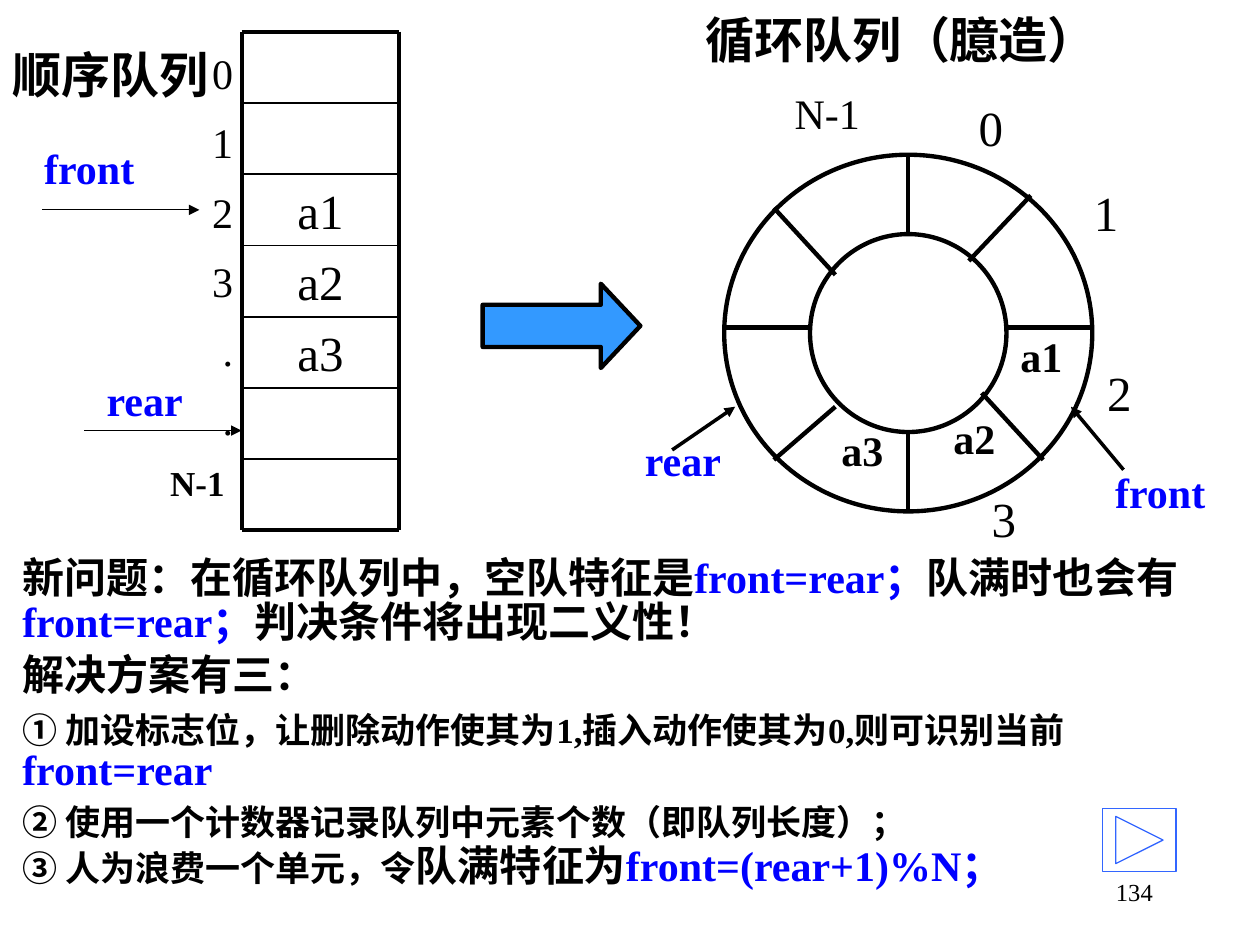
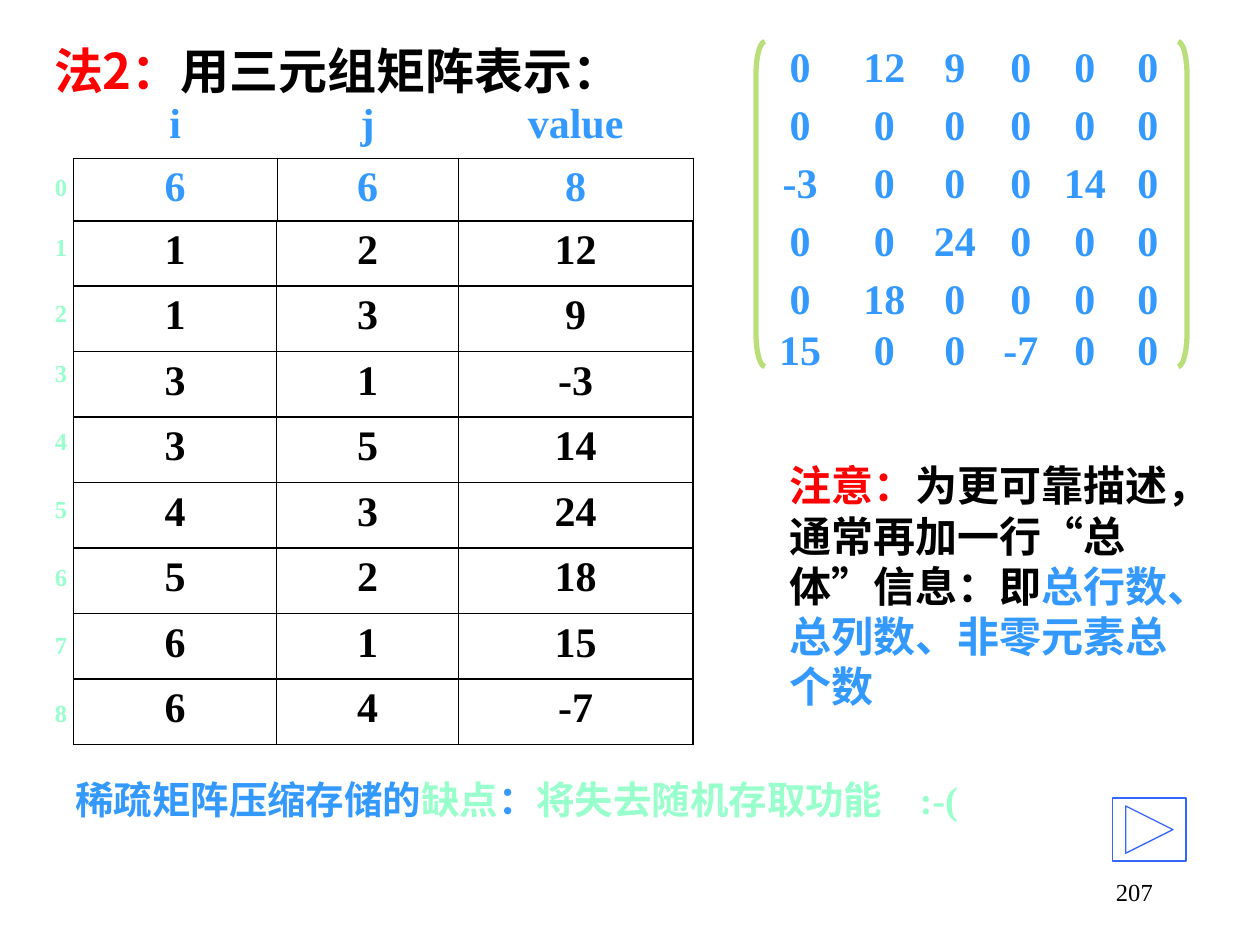
"""Builds two slides: the circular queue and the triple table of a sparse matrix."""
from lxml import etree
from pptx import Presentation
from pptx.dml.color import RGBColor
from pptx.enum.shapes import MSO_CONNECTOR, MSO_SHAPE
from pptx.enum.text import MSO_ANCHOR, PP_ALIGN
from pptx.oxml.ns import qn
from pptx.util import Cm, Pt

BLACK = RGBColor(0, 0, 0)
BLUE = RGBColor(0x00, 0x00, 0xFF)
SKY = RGBColor(0x33, 0x99, 0xFF)
RED = RGBColor(0xFF, 0, 0)
MINT = RGBColor(0x99, 0xFF, 0xCC)
LIME = RGBColor(0xBA, 0xDE, 0x78)
BUTTON_BLUE = RGBColor(0x33, 0x66, 0xFF)
LEFT, CENTER, RIGHT = PP_ALIGN.LEFT, PP_ALIGN.CENTER, PP_ALIGN.RIGHT
TOP, MIDDLE = MSO_ANCHOR.TOP, MSO_ANCHOR.MIDDLE
STRAIGHT = MSO_CONNECTOR.STRAIGHT
OVAL, ARROW = MSO_SHAPE.OVAL, MSO_SHAPE.RIGHT_ARROW
BRACKETS = (MSO_SHAPE.LEFT_BRACKET, MSO_SHAPE.RIGHT_BRACKET)
NEXT_BUTTON = MSO_SHAPE.ACTION_BUTTON_FORWARD_OR_NEXT
SERIF, SANS = "Times New Roman", "Noto Sans CJK SC"

PLAIN = {"size": Pt(24), "bold": False, "name": SERIF, "color": BLACK}
LARGE = PLAIN | {"size": Pt(28)}
BOLD = PLAIN | {"bold": True}
POINTER = BOLD | {"color": BLUE}
HEADING = LARGE | {"bold": True, "name": SANS}
CJK = BOLD | {"name": SANS}
STEP = BOLD | {"size": Pt(20)}
VALUE = BOLD | {"color": SKY}
INDEX = BOLD | {"size": Pt(14), "color": MINT}
PAGE = PLAIN | {"size": Pt(14)}
FLAW = BOLD | {"size": Pt(22), "color": SKY}


def write(frame, paragraphs, wrap=False, anchor=TOP):
    """Fill a text frame with (paragraph format, runs) pairs."""
    frame.word_wrap = wrap
    frame.vertical_anchor = anchor
    for number, (layout, runs) in enumerate(paragraphs):
        paragraph = frame.paragraphs[0] if number == 0 else frame.add_paragraph()
        for key, value in layout.items():
            if key != "tabs":
                setattr(paragraph, key, value)
        if "tabs" in layout:
            stops = etree.SubElement(paragraph._p.get_or_add_pPr(), qn("a:tabLst"))
            for position, kind in layout["tabs"]:
                etree.SubElement(stops, qn("a:tab"), pos=str(Cm(position)), algn=kind)
        for words, style in runs:
            run = paragraph.add_run()
            run.text = words
            run.font.color.rgb = style["color"]
            for key, value in style.items():
                if key != "color":
                    setattr(run.font, key, value)
            etree.SubElement(run._r.get_or_add_rPr(), qn("a:ea"), typeface=SANS)


def draw_line(slide, x1, y1, x2, y2, width, arrow=False):
    """Draw a black line, with an arrowhead at its end if asked."""
    line = slide.shapes.add_connector(STRAIGHT, Cm(x1), Cm(y1), Cm(x2), Cm(y2))
    line.line.color.rgb = BLACK
    line.line.width = Pt(width)
    if arrow:
        etree.SubElement(line.line._get_or_add_ln(), qn("a:tailEnd"), type="triangle")
    etree.SubElement(line._element.spPr, qn("a:effectLst"))


prs = Presentation()
prs.slide_width, prs.slide_height = Cm(25.4), Cm(19.05)
queue = prs.slides.add_slide(prs.slide_layouts[6])
matrix = prs.slides.add_slide(prs.slide_layouts[6])

outlines = [
    (queue, ARROW, (9.73, 5.72, 3.18, 1.7), SKY, BLACK, 2.5, (0.5, 0.469)),
    (queue, OVAL, (16.33, 4.72, 3.96, 3.99), None, BLACK, 2.5, ()),
    (queue, OVAL, (14.6, 3.12, 7.42, 7.19), None, BLACK, 2.5, ()),
    (queue, NEXT_BUTTON, (22.23, 16.3, 1.48, 1.27), None, BUTTON_BLUE, 0.75, ()),
    (matrix, NEXT_BUTTON, (22.43, 16.09, 1.48, 1.27), None, BUTTON_BLUE, 0.75, ()),
]
for bracket, left in zip(BRACKETS, (15.24, 23.75)):
    outlines.append((matrix, bracket, (left, 0.84, 0.18, 6.55), None, LIME, 3, (3.75,)))
for slide, kind, box, fill, color, width, adjustments in outlines:
    shape = slide.shapes.add_shape(kind, *map(Cm, box))
    shape.shadow.inherit = False
    shape.line.color.rgb = color
    shape.line.width = Pt(width)
    if fill is None:
        shape.fill.background()
    else:
        shape.fill.solid()
        shape.fill.fore_color.rgb = fill
    for number, value in enumerate(adjustments):
        shape.adjustments[number] = value

for spoke in [
    (20.29, 6.6, 22.02, 6.6), (14.6, 6.6, 16.33, 6.6),
    (18.31, 3.12, 18.31, 4.72), (18.31, 8.74, 18.31, 10.34),
    (15.6, 4.19, 16.84, 5.54), (19.79, 7.92, 21.03, 9.27),
    (20.78, 3.94, 19.53, 5.26), (16.84, 8.2, 15.6, 9.27),
]:
    draw_line(queue, *spoke, 2.5)

CELL_LEFT, CELL_RIGHT, CELL_TOP, CELL_HEIGHT, CELLS = 4.87, 8.05, 0.64, 1.436, 7
CELL_BOTTOM = CELL_TOP + CELLS * CELL_HEIGHT
for number in range(CELLS + 1):
    y = CELL_TOP + number * CELL_HEIGHT
    draw_line(queue, CELL_LEFT, y, CELL_RIGHT, y, 2.25 if number in (0, CELLS) else 1)
for x in (CELL_LEFT, CELL_RIGHT):
    draw_line(queue, x, CELL_TOP, x, CELL_BOTTOM, 2.25)

for pointer, width in [
    ((13.55, 9.07, 14.82, 8.2), 2), ((22.65, 9.47, 21.59, 8.2), 2),
    ((1.7, 8.68, 4.87, 8.68), 0.75), ((0.85, 4.23, 4.02, 4.23), 0.75),
]:
    draw_line(queue, *pointer, width, arrow=True)

labels = [
    ("a3", 16.71, 8.43, 1.35, BOLD), ("a2", 18.97, 8.2, 1.35, BOLD),
    ("a1", 20.32, 6.53, 1.35, BOLD), ("0", 19.48, 1.85, 1.02, LARGE),
    ("1", 21.8, 3.56, 1.02, LARGE), ("2", 22.07, 7.19, 1.02, LARGE),
    ("3", 19.74, 9.73, 1.02, LARGE), ("N-1", 15.77, 1.63, 1.83, PLAIN),
    ("rear", 12.75, 8.64, 2.06, POINTER), ("front", 22.23, 9.27, 2.34, POINTER),
    ("front", 0.64, 2.74, 2.34, POINTER), ("rear", 1.9, 7.42, 2.06, POINTER),
]
for words, left, top, width, style in labels:
    label = queue.shapes.add_textbox(Cm(left), Cm(top), Cm(width), Cm(1.27))
    write(label.text_frame, [({}, [(words, style)])])

for number, words in enumerate(("a1", "a2", "a3"), start=2):
    entry = queue.shapes.add_textbox(Cm(CELL_LEFT), Cm(CELL_TOP + number * CELL_HEIGHT),
                                     Cm(CELL_RIGHT - CELL_LEFT), Cm(CELL_HEIGHT))
    write(entry.text_frame, [({"alignment": CENTER}, [(words, LARGE)])], wrap=True)

positions = [({"alignment": RIGHT}, [("0", PLAIN)])]
for words in ("1", "2", "3", ".", "."):
    positions.append(({"alignment": RIGHT, "space_before": Pt(10.7)}, [(words, PLAIN)]))
positions.append(({"alignment": LEFT, "space_before": Pt(10)}, [("N-1", STEP)]))
position_box = queue.shapes.add_textbox(Cm(3.18), Cm(0.84), Cm(1.9), Cm(9.55))
position_box.text_frame.margin_right = Cm(0.38)
write(position_box.text_frame, positions, wrap=True)

first, full = {"line_spacing": Pt(25.5)}, {"line_spacing": Pt(25.5), "space_before": Pt(4.5)}
flagged, short = full | {"line_spacing": Pt(25)}, full | {"line_spacing": Pt(23)}
solutions = [
    (first, [("新问题：", BOLD), ("在循环队列中，空队特征是", CJK), ("front=rear；", POINTER),
             ("队满时也会有", CJK), ("front=rear；", POINTER), ("判决条件将出现二义性！", CJK)]),
    (full, [("解决方案有三：", BOLD)]),
    (flagged, [("① 加设标志位，让删除动作使其为1,插入动作使其为0,则可识别当前", STEP),
               ("front=rear", POINTER)]),
    (short, [("② 使用一个计数器记录队列中元素个数（即队列长度）；", STEP)]),
    (short, [("③ 人为浪费一个单元，令", STEP), ("队满特征为", CJK),
             ("front=(rear+1)%N；", POINTER)]),
]
heading_line = {"line_spacing": Pt(34)}
flaw_line = {"line_spacing": Pt(27), "tabs": [(17.02, "l")]}
blocks = [
    (queue, (13.97, 0.05, 8.48, 1.45), False, [(heading_line, [("循环队列（臆造）", HEADING)])]),
    (queue, (0, 0.76, 4.47, 1.45), False, [(heading_line, [("顺序队列", HEADING)])]),
    (queue, (0.2, 11.1, 25.2, 7.24), True, solutions),
    (matrix, (0.84, 0.68, 11.23, 1.45), True,
     [(heading_line, [("法2：", HEADING | {"color": RED}), ("用三元组矩阵表示：", HEADING)])]),
    (matrix, (15.67, 9.15, 8.64, 5.33), True,
     [({"line_spacing": Pt(28.7)},
       [("注意：", CJK | {"color": RED}), ("为更可靠描述，通常再加一行“总体”信息：即", CJK),
        ("总行数、总列数、非零元素总个数", CJK | {"color": SKY})])]),
    (matrix, (1.27, 15.5, 19.25, 1.19), True,
     [(flaw_line, [("稀疏矩阵压缩存储的", FLAW), ("缺点", FLAW | {"color": MINT}), ("：", FLAW),
                   ("将失去随机存取功能\t:-(", FLAW | {"color": MINT})])]),
]
for slide, box, wrap, paragraphs in blocks:
    block = slide.shapes.add_textbox(*map(Cm, box))
    write(block.text_frame, paragraphs, wrap)

for slide, number in ((queue, "134"), (matrix, "207")):
    page = slide.shapes.add_textbox(Cm(18.21), Cm(17.35), Cm(5.28), Cm(1.27))
    write(page.text_frame, [({"alignment": RIGHT}, [(number, PAGE)])], True, MIDDLE)

matrix_rows = [
    (0.68, (0, 12, 9, 0, 0, 0)), (1.85, (0, 0, 0, 0, 0, 0)), (3.02, (-3, 0, 0, 0, 14, 0)),
    (4.18, (0, 0, 24, 0, 0, 0)), (5.35, (0, 18, 0, 0, 0, 0)), (6.37, (15, 0, 0, -7, 0, 0)),
]
column_stops = [(stop, "ctr") for stop in (0.78, 2.48, 3.9, 5.23, 6.52, 7.79)]
for top, numbers in matrix_rows:
    row_box = matrix.shapes.add_textbox(Cm(15.1), Cm(top), Cm(9), Cm(1.3))
    words = "".join(f"\t{number}" for number in numbers)
    write(row_box.text_frame, [({"tabs": column_stops}, [(words, VALUE)])], True, MIDDLE)

triples = [(1, 2, 12), (1, 3, 9), (3, 1, -3), (3, 5, 14),
           (4, 3, 24), (5, 2, 18), (6, 1, 15), (6, 4, -7)]
triple_widths = (4.1, 3.66, 4.73)
tables = [
    (1.48, 4.45, triple_widths, [1.32] * 8, triples, BOLD, CENTER, 1),
    (1.48, 3.18, triple_widths, [1.27], [(6, 6, 8)], VALUE, CENTER, 0.25),
    (1.48, 1.91, triple_widths, [1.27], [("i", "j", "value")], VALUE, CENTER, 0),
    (0.85, 3.39, (0.85,), [1.22, 1.32, 1.22, 1.37, 1.37, 1.37, 1.37, 1.37, 1.22],
     [(number,) for number in range(9)], INDEX, LEFT, 0),
]
for left, top, widths, heights, rows, style, alignment, border in tables:
    table = matrix.shapes.add_table(len(rows), len(widths), Cm(left), Cm(top),
                                    Cm(sum(widths)), Cm(sum(heights))).table
    table.first_row = table.horz_banding = False
    for column, width in zip(table.columns, widths):
        column.width = Cm(width)
    for row, height, entries in zip(table.rows, heights, rows):
        row.height = Cm(height)
        for cell, entry in zip(row.cells, entries):
            properties = cell._tc.get_or_add_tcPr()
            for side in ("lnL", "lnR", "lnT", "lnB"):
                edge = etree.SubElement(properties, qn(f"a:{side}"), w=str(Pt(border)))
                if border:
                    paint = etree.SubElement(edge, qn("a:solidFill"))
                    etree.SubElement(paint, qn("a:srgbClr"), val=str(BLACK))
                else:
                    etree.SubElement(edge, qn("a:noFill"))
            cell.fill.background()
            write(cell.text_frame, [({"alignment": alignment}, [(str(entry), style)])], True)

prs.save("out.pptx")
